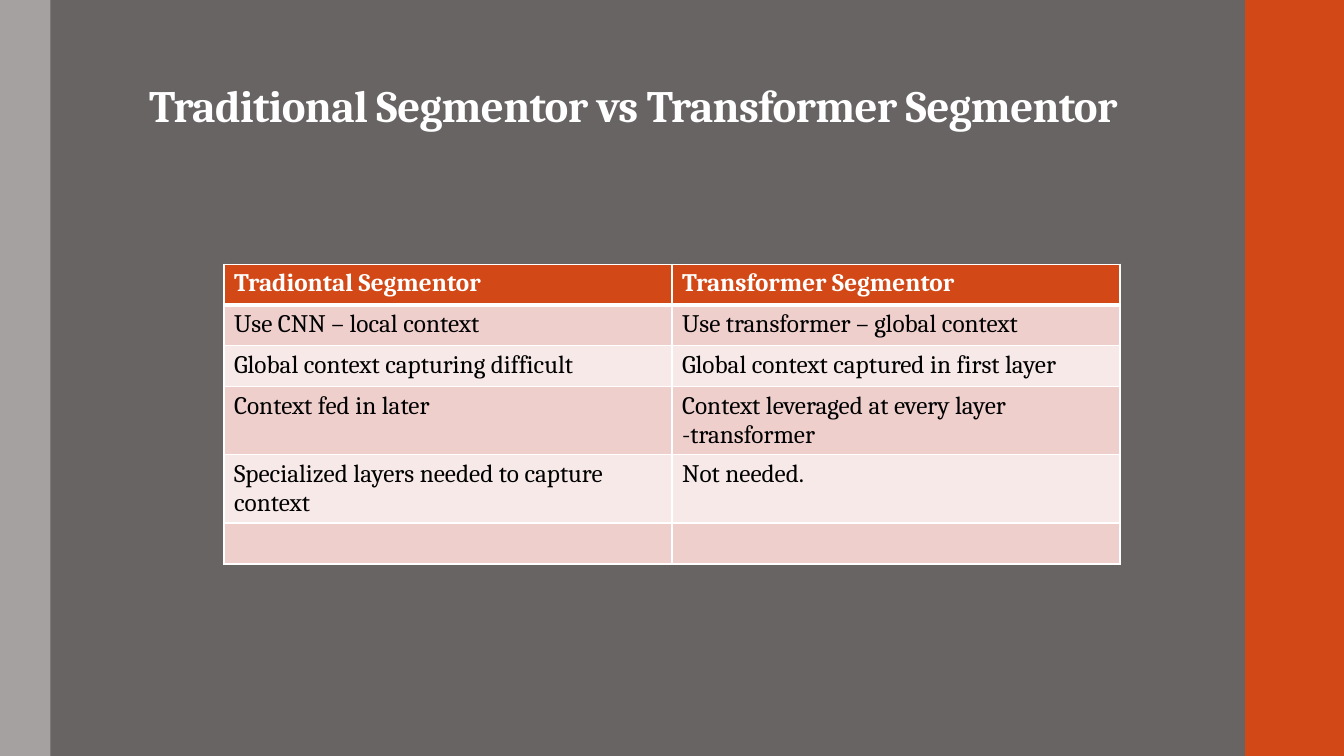
from dataclasses import dataclass
from lxml.etree import SubElement
from pptx import Presentation
from pptx.dml.color import RGBColor
from pptx.enum.shapes import MSO_SHAPE
from pptx.enum.text import MSO_ANCHOR, MSO_AUTO_SIZE, PP_ALIGN
from pptx.oxml.ns import qn
from pptx.util import Inches, Pt

TITLE = "Traditional Segmentor vs Transformer Segmentor"
COMPARISON = [
    ("Tradiontal Segmentor", "Transformer Segmentor"),
    ("Use CNN – local context", "Use transformer – global context"),
    ("Global context capturing difficult", "Global context captured in first layer"),
    ("Context fed in later", "Context leveraged at every layer -transformer"),
    ("Specialized layers needed to capture context", "Not needed."),
    ("", ""),
]


@dataclass(frozen=True)
class Theme:
    font: str = "Cambria"
    background: str = "696464"
    accent: str = "D34817"
    side: str = "A6A1A1"
    light: str = "FFFFFF"
    dark: str = "000000"
    bands: tuple = ("F7E9E8", "EFCFCC")
    title_size: int = 32
    body_size: int = 18
    thin: int = 1
    thick: int = 3


THEME = Theme()
WIDTH, HEIGHT = Inches(13.33), Inches(7.5)
BARS = [(12.35, 1, THEME.accent), (0, 0.5, THEME.side)]
TITLE_BOX = (1.38, 0, 10.3, 1.36)
TITLE_INSETS = {"margin_left": 0.1, "margin_top": 0.03, "margin_right": 0.1, "margin_bottom": 0.05}
TABLE_LEFT, TABLE_TOP = WIDTH // 6, Inches(2.62)
TABLE_WIDTH = WIDTH * 2 // 3
ROW_HEIGHT = Inches(0.405)


def set_all(target, values):
    for name, value in values.items():
        setattr(target, name, value)


def paint(fill, color):
    fill.solid()
    fill.fore_color.rgb = RGBColor.from_string(color)


def style_font(font, size, color, bold):
    set_all(font, {"name": THEME.font, "size": Pt(size), "bold": bold})
    font.color.rgb = RGBColor.from_string(color)


def add_bar(slide, left, width, color):
    bar = slide.shapes.add_shape(MSO_SHAPE.RECTANGLE, Inches(left), 0, Inches(width), HEIGHT)
    bar.shadow.inherit = False
    paint(bar.fill, color)
    bar.line.fill.background()


def fill_title(title):
    set_all(title, dict(zip(("left", "top", "width", "height"), map(Inches, TITLE_BOX))))
    frame = title.text_frame
    set_all(frame, {name: Inches(inset) for name, inset in TITLE_INSETS.items()})
    set_all(frame, {"vertical_anchor": MSO_ANCHOR.BOTTOM, "word_wrap": True,
                    "auto_size": MSO_AUTO_SIZE.NONE, "text": TITLE})
    paragraph = frame.paragraphs[0]
    set_all(paragraph, {"alignment": PP_ALIGN.LEFT, "line_spacing": 0.85})
    run = paragraph.runs[0]
    style_font(run.font, THEME.title_size, THEME.light, True)
    run.font._element.set("spc", "-50")


def add_borders(cell, row):
    properties = cell._tc.get_or_add_tcPr()
    for side in "LRTB":
        under_header = (row, side) in ((0, "B"), (1, "T"))
        width = THEME.thick if under_header else THEME.thin
        line = SubElement(properties, qn(f"a:ln{side}"), w=str(Pt(width)))
        SubElement(SubElement(line, qn("a:solidFill")), qn("a:srgbClr"), val=THEME.light)


def add_comparison(slide):
    rows, columns = len(COMPARISON), len(COMPARISON[0])
    table = slide.shapes.add_table(
        rows, columns, TABLE_LEFT, TABLE_TOP, TABLE_WIDTH, ROW_HEIGHT * rows).table
    for row, texts in enumerate(COMPARISON):
        header = row == 0
        for column, text in enumerate(texts):
            cell = table.cell(row, column)
            add_borders(cell, row)
            paint(cell.fill, THEME.accent if header else THEME.bands[row % 2])
            cell.text = text
            for run in cell.text_frame.paragraphs[0].runs:
                style_font(run.font, THEME.body_size, THEME.light if header else THEME.dark, header)


def main():
    presentation = Presentation()
    set_all(presentation, {"slide_width": WIDTH, "slide_height": HEIGHT})
    slide = presentation.slides.add_slide(presentation.slide_layouts[5])
    paint(slide.background.fill, THEME.background)
    for bar in BARS:
        add_bar(slide, *bar)
    fill_title(slide.shapes.title)
    add_comparison(slide)
    presentation.save("out.pptx")


if __name__ == "__main__":
    main()
